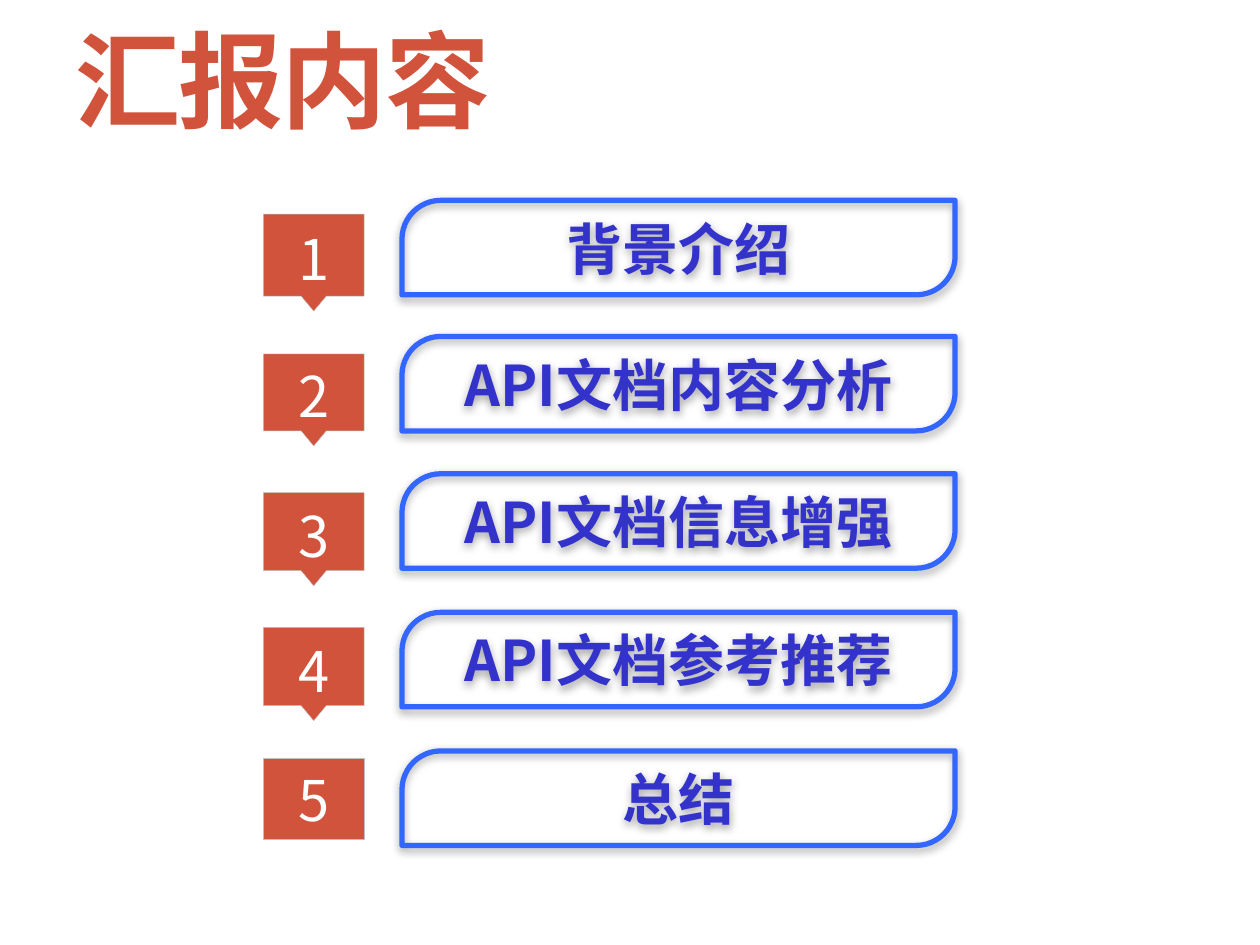
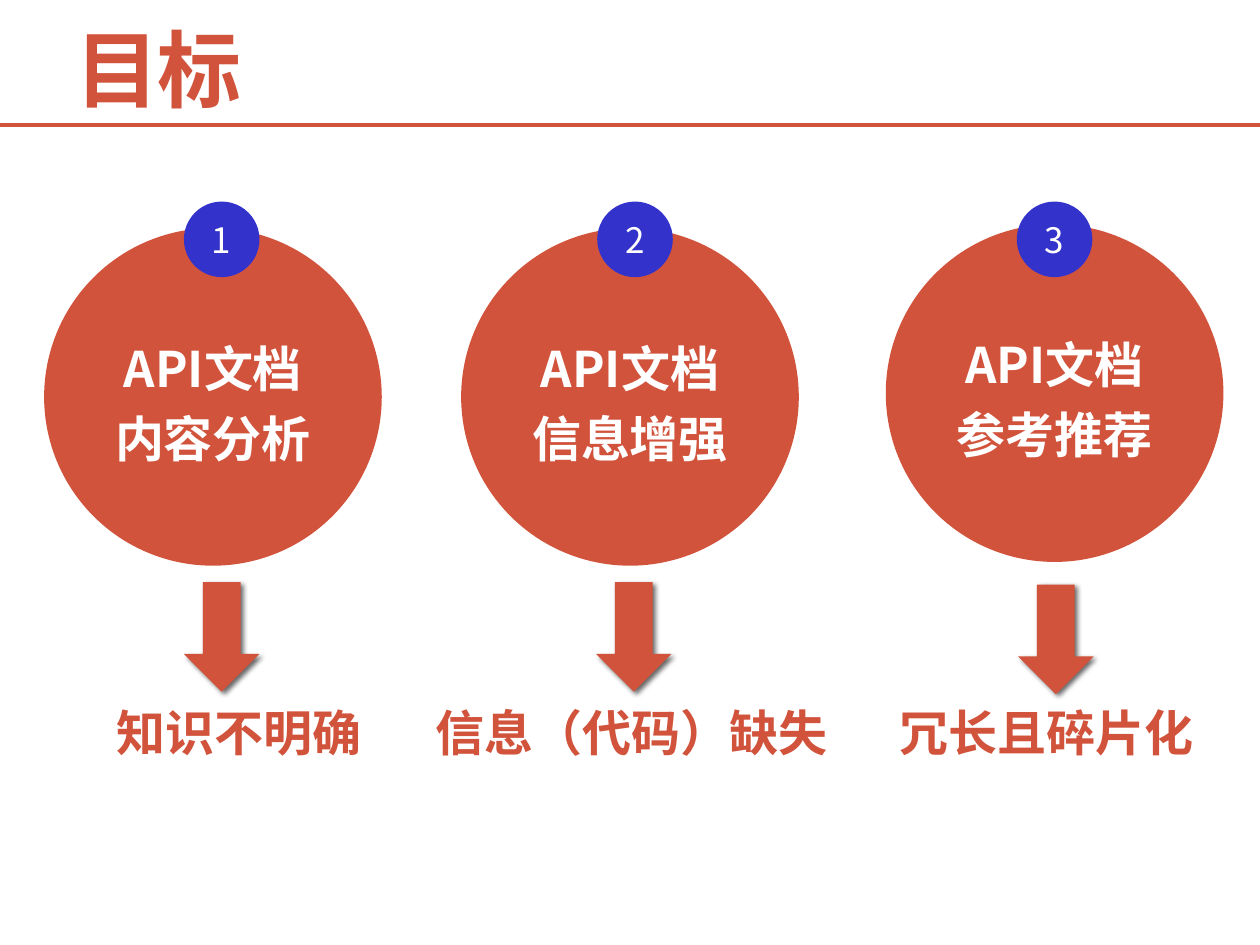
from lxml import etree
from pptx import Presentation
from pptx import util as u
from pptx.dml.color import RGBColor
from pptx.enum import shapes, text
from pptx.oxml import ns

# Shared look: 100 px to the inch
PX = 9144
FONT = "Noto Sans CJK SC"
RED, BLUE, FRAME_BLUE = "D2533C", "3333CC", "3366FF"
WHITE, GREY = "FFFFFF", "BFBFBF"

# Agenda rows: title, tag top, tag body height, frame top
AGENDA = [
    ("背景介绍", 170, 65, 159),
    ("API文档内容分析", 281, 61, 267),
    ("API文档信息增强", 391, 62, 376),
    ("API文档参考推荐", 498, 62, 486),
    ("总结", 602, 64, 596),
]
TAG_LEFT, TAG_WIDTH, TIP = 209, 80, 12

# Goals: topic, circle left and top, badge left, arrow left and top,
# problem, problem left and width
GOALS = [
    ("内容分析", 35, 181, 146, 146, 462, "知识不明确", 83, 220),
    ("信息增强", 366, 181, 474, 473, 462, "信息（代码）缺失", 336, 335),
    ("参考推荐", 703, 178, 807, 808, 464, "冗长且碎片化", 704, 260),
]


def emu(*lengths):
    return [u.Emu(length * PX) for length in lengths]


def rgb(value):
    return RGBColor.from_string(value)


def paint(shape, fill=None, line=None, width=1.0):
    shape.shadow.inherit = False
    if fill:
        shape.fill.solid()
        shape.fill.fore_color.rgb = rgb(fill)
    else:
        shape.fill.background()
    if line:
        shape.line.color.rgb = rgb(line)
        shape.line.width = u.Pt(width)
    else:
        shape.line.fill.background()


def cast_shadow(shape, opacity, blur, distance, angle):
    effects = shape._element.spPr.find(ns.qn("a:effectLst"))
    shadow = etree.SubElement(
        effects, ns.qn("a:outerShdw"),
        blurRad=str(u.Pt(blur)), dist=str(u.Pt(distance)),
        dir=str(angle * 60000), algn="t", rotWithShape="0")
    colour = etree.SubElement(shadow, ns.qn("a:srgbClr"), val="000000")
    etree.SubElement(colour, ns.qn("a:alpha"), val=str(opacity * 1000))


def write(shape, lines, size, colour, bold=False, spacing=None, tracking=None,
          align=text.PP_ALIGN.CENTER, **frame_format):
    frame = shape.text_frame
    defaults = {"word_wrap": True, "vertical_anchor": text.MSO_ANCHOR.MIDDLE}
    for name, value in {**defaults, **frame_format}.items():
        setattr(frame, name, value)
    for i, line in enumerate(lines):
        paragraph = frame.add_paragraph() if i else frame.paragraphs[0]
        paragraph.alignment = align
        if spacing:
            paragraph.line_spacing = spacing
        run = paragraph.add_run()
        run.text = line
        font_format = {"name": FONT, "size": u.Pt(size), "bold": bold}
        for name, value in font_format.items():
            setattr(run.font, name, value)
        run.font.color.rgb = rgb(colour)
        properties = run._r.get_or_add_rPr()
        etree.SubElement(properties, ns.qn("a:ea"), typeface=FONT)
        if tracking:
            properties.set("spc", str(tracking * 100))


def add_title(slide, words, size, width, height):
    title = slide.shapes.add_textbox(*emu(50, 0, width, height))
    write(title, [words], size, RED, bold=True, tracking=-1,
          align=text.PP_ALIGN.LEFT)


def add_tag(slide, number, top, body, pointed):
    """Numbered tag, with a tip below it that points to the next one."""
    if pointed:
        right, bottom = TAG_LEFT + TAG_WIDTH, top + body
        middle = TAG_LEFT + TAG_WIDTH // 2
        outline = slide.shapes.build_freeform(TAG_LEFT, top, scale=PX)
        outline.add_line_segments([
            (right, top), (right, bottom), (middle + 10, bottom),
            (middle, bottom + TIP), (middle - 10, bottom), (TAG_LEFT, bottom)])
        tag = outline.convert_to_shape()
    else:
        tag = slide.shapes.add_shape(
            shapes.MSO_SHAPE.RECTANGLE, *emu(TAG_LEFT, top, TAG_WIDTH, body))
    paint(tag, RED, GREY, 0.25)
    write(tag, [str(number)], 32, WHITE,
          margin_bottom=u.Emu((TIP if pointed else 4) * PX))


def add_frame(slide, words, top):
    frame = slide.shapes.add_shape(
        shapes.MSO_SHAPE.ROUND_2_DIAG_RECTANGLE, *emu(319, top, 439, 75))
    frame.adjustments[0] = 0.41
    paint(frame, line=FRAME_BLUE, width=3)
    cast_shadow(frame, 35, 5, 1.8, 90)
    write(frame, [words], 32, BLUE, bold=True, word_wrap=False)


def add_circle(group, left, top, diameter, fill, lines, **style):
    circle = group.shapes.add_shape(
        shapes.MSO_SHAPE.OVAL, *emu(left, top, diameter, diameter))
    paint(circle, fill)
    write(circle, lines, colour=WHITE, **style)


def add_rule(slide, top):
    rule = slide.shapes.add_connector(
        shapes.MSO_CONNECTOR.STRAIGHT, *emu(0, top, 1000, top))
    rule.line.color.rgb = rgb(RED)
    rule.line.width = u.Pt(2.25)
    etree.SubElement(rule._element.spPr, ns.qn("a:effectLst"))


def add_arrow(slide, left, top):
    arrow = slide.shapes.add_shape(
        shapes.MSO_SHAPE.DOWN_ARROW, *emu(left, top, 60, 87))
    paint(arrow, RED)
    cast_shadow(arrow, 60, 3, 2, 45)


def add_problem(slide, words, left, width):
    problem = slide.shapes.add_textbox(*emu(left, 553, width, 57))
    write(problem, [words], 28, RED, bold=True, align=text.PP_ALIGN.LEFT,
          vertical_anchor=text.MSO_ANCHOR.TOP,
          auto_size=text.MSO_AUTO_SIZE.SHAPE_TO_FIT_TEXT)


def build_agenda(slide):
    add_title(slide, "汇报内容", 60, 900, 125)
    for number, (words, tag_top, body, frame_top) in enumerate(AGENDA, 1):
        add_tag(slide, number, tag_top, body, pointed=number < len(AGENDA))
        add_frame(slide, words, frame_top)


def build_goals(slide):
    add_title(slide, "目标", 48, 950, 108)
    add_rule(slide, 99)
    for number, goal in enumerate(GOALS, 1):
        (topic, left, top, badge_left, arrow_left, arrow_top,
         problem, problem_left, problem_width) = goal
        # Topic circle with its number badge
        group = slide.shapes.add_group_shape()
        add_circle(group, left, top, 268, RED, ["API文档", topic],
                   size=28, bold=True, spacing=1.2)
        add_circle(group, badge_left, 160, 60, BLUE, [str(number)], size=20)
        # Problem that the goal answers
        add_arrow(slide, arrow_left, arrow_top)
        add_problem(slide, problem, problem_left, problem_width)


def main():
    deck = Presentation()
    deck.slide_width, deck.slide_height = emu(1000, 750)
    for build in (build_agenda, build_goals):
        build(deck.slides.add_slide(deck.slide_layouts[6]))
    deck.save("out.pptx")


if __name__ == "__main__":
    main()
